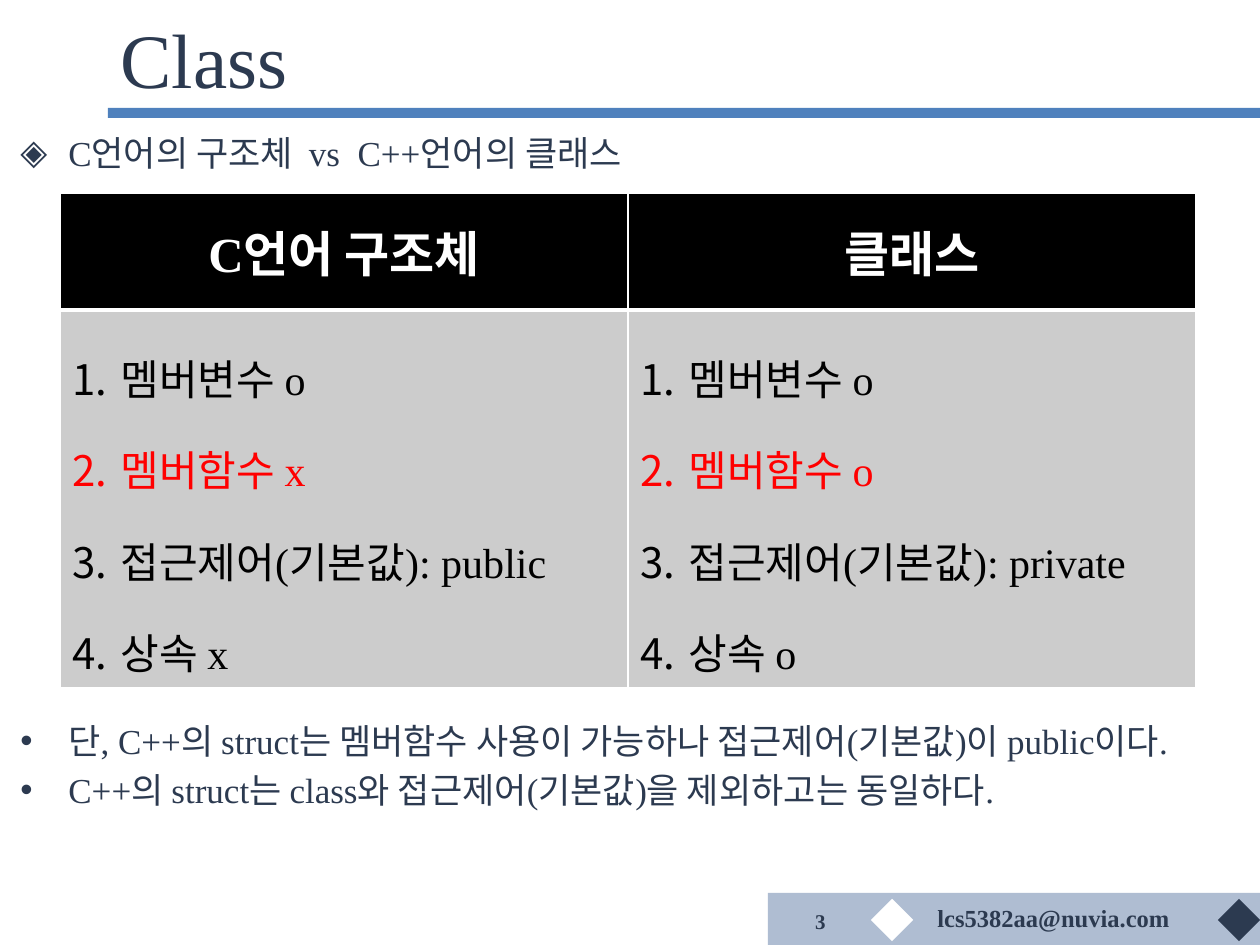
from lxml.etree import SubElement
from pptx import Presentation
from pptx.dml.color import RGBColor
from pptx.enum.shapes import MSO_SHAPE as Shape
from pptx.enum.text import MSO_ANCHOR as Anchor, PP_ALIGN as Align
from pptx.oxml import parse_xml
from pptx.oxml.ns import nsdecls, qn
from pptx.util import Emu, Pt

NAVY = RGBColor(0x2C, 0x3A, 0x50)
BLUE = RGBColor(0x4F, 0x81, 0xBD)
STEEL = RGBColor(0x78, 0x8F, 0xB4)
GREY = RGBColor(0xCC, 0xCC, 0xCC)
RED = RGBColor(0xFF, 0x00, 0x00)
BLACK = RGBColor(0x00, 0x00, 0x00)
WHITE = RGBColor(0xFF, 0xFF, 0xFF)

FONT = "Times New Roman"
INDENT = 48


def px(length):
    return Emu(round(length * 914400 / 126))


class SlideMaker:
    def __init__(self, slide):
        self.slide = slide
        self.shapes = slide.shapes

    def style(self, paragraph, size, color, bold=False, align=Align.LEFT):
        paragraph.alignment = align
        for run in paragraph.runs:
            run.font.name = FONT
            run.font.size = Pt(size)
            run.font.bold = bold
            run.font.color.rgb = color

    def bullet(self, paragraph, tag, font, **attributes):
        props = paragraph._p.get_or_add_pPr()
        props.set("marL", str(px(INDENT)))
        props.set("indent", str(-px(INDENT)))
        SubElement(props, qn("a:buFont"), typeface=font)
        SubElement(props, qn(tag), **attributes)

    def title(self, text, left, top, width, height):
        title = self.shapes.title
        title.left, title.top = px(left), px(top)
        title.width, title.height = px(width), px(height)
        title.text_frame.text = text
        title.text_frame.vertical_anchor = Anchor.MIDDLE
        self.style(title.text_frame.paragraphs[0], 44, NAVY)

    def rect(self, left, top, width, height, color, rotation=0, alpha=None):
        rect = self.shapes.add_shape(
            Shape.RECTANGLE, px(left), px(top), px(width), px(height))
        rect.shadow.inherit = False
        rect.rotation = rotation
        rect.line.fill.background()
        rect.fill.solid()
        rect.fill.fore_color.rgb = color
        if alpha:
            srgb = rect.fill._xPr.find(".//" + qn("a:srgbClr"))
            SubElement(srgb, qn("a:alpha"), val=str(alpha * 1000))

    def label(self, text, left, top, width, height, size,
              align=Align.LEFT, anchor=Anchor.TOP, wrap=True):
        box = self.shapes.add_textbox(px(left), px(top), px(width), px(height))
        frame = box.text_frame
        frame.word_wrap = wrap
        frame.vertical_anchor = anchor
        frame.text = text
        self.style(frame.paragraphs[0], size, NAVY, True, align)

    def bullets(self, lines, mark, left, top, width, height):
        box = self.shapes.add_textbox(px(left), px(top), px(width), px(height))
        frame = box.text_frame
        frame.word_wrap = True
        frame.text = "\n".join(lines)
        for paragraph in frame.paragraphs:
            self.style(paragraph, 20, NAVY)
            paragraph.space_before = Pt(4)
            self.bullet(paragraph, "a:buChar", "Arial", char=mark)

    def borders(self, cell, widths):
        props = cell._tc.get_or_add_tcPr()
        for index, (side, width) in enumerate(widths.items()):
            props.insert(index, parse_xml(
                f'<a:ln{side} {nsdecls("a")} w="{Pt(width)}"><a:solidFill>'
                f'<a:srgbClr val="{WHITE}"/></a:solidFill></a:ln{side}>'))

    def table(self, columns, left, top, col_width, row_heights):
        table = self.shapes.add_table(
            2, len(columns), px(left), px(top),
            px(col_width * len(columns)), px(sum(row_heights))).table
        for row, height in zip(table.rows, row_heights):
            row.height = px(height)
        for index, (heading, items) in enumerate(columns.items()):
            table.columns[index].width = px(col_width)
            head, body = table.cell(0, index), table.cell(1, index)
            for cell, fill in ((head, BLACK), (body, GREY)):
                cell.fill.solid()
                cell.fill.fore_color.rgb = fill
                cell.vertical_anchor = Anchor.MIDDLE
            self.borders(head, {"L": 1, "R": 1, "T": 1, "B": 3})
            self.borders(body, {"L": 1, "R": 1, "T": 3, "B": 1})
            head.text_frame.text = heading
            self.style(head.text_frame.paragraphs[0], 28, WHITE, True, Align.CENTER)
            body.text_frame.text = "\n".join(items)
            for item, paragraph in zip(items, body.text_frame.paragraphs):
                self.style(paragraph, 24, RED if "멤버함수" in item else BLACK)
                paragraph.line_spacing = 1.5
                self.bullet(paragraph, "a:buAutoNum", "+mj-ea", type="arabicPeriod")


def main():
    deck = Presentation()
    deck.slide_width, deck.slide_height = px(1260), px(945)
    maker = SlideMaker(deck.slides.add_slide(deck.slide_layouts[5]))

    # Title and rule
    maker.rect(108, 108, 1152, 10, BLUE)
    maker.title("Class", 108, 9, 1129, 97)

    # Footer
    maker.rect(768, 893, 492, 52, STEEL, alpha=59)
    for left, color in ((1224, NAVY), (877, WHITE)):
        maker.rect(left, 905, 30, 30, color, rotation=45)
    maker.label("lcs5382aa@nuvia.com", 925, 897, 258, 43, 14, wrap=False)
    maker.label("3", 779, 900, 59, 43, 12, Align.RIGHT, Anchor.MIDDLE)

    # Comparison
    maker.bullets(["C언어의 구조체  vs  C++언어의 클래스"], "◈", 8, 125, 1246, 60)
    maker.table({
        "C언어 구조체": ["멤버변수 o", "멤버함수 x", "접근제어(기본값): public", "상속 x"],
        "클래스": ["멤버변수 o", "멤버함수 o", "접근제어(기본값): private", "상속 o"],
    }, 60, 193, 568, (117, 378))

    # Remarks
    maker.bullets([
        "단, C++의 struct는 멤버함수 사용이 가능하나 접근제어(기본값)이 public이다.",
        "C++의 struct는 class와 접근제어(기본값)을 제외하고는 동일하다.",
    ], "•", 8, 713, 1246, 160)

    deck.save("out.pptx")


if __name__ == "__main__":
    main()
